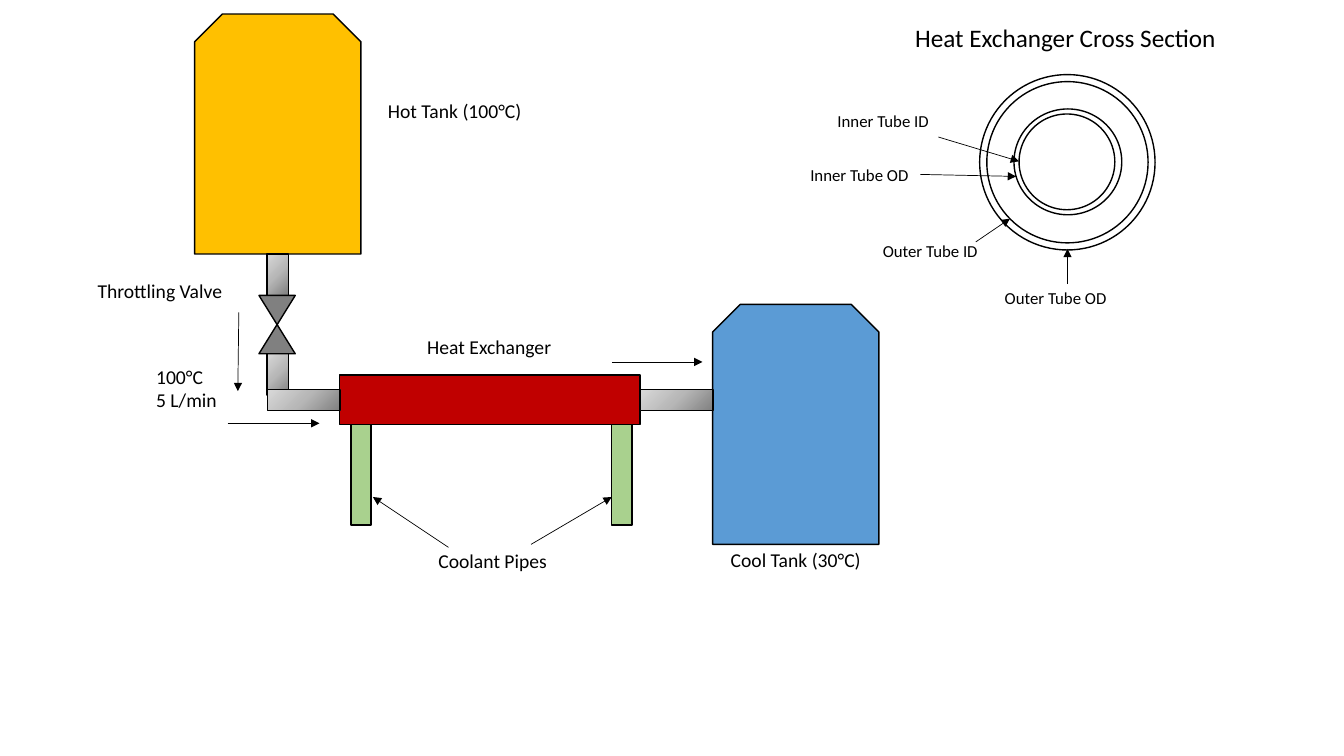
import dataclasses

import lxml.etree
import pptx
import pptx.dml.color
import pptx.enum.shapes
import pptx.enum.text
import pptx.oxml
import pptx.oxml.ns
import pptx.util

Pt = pptx.util.Pt
Shape = pptx.enum.shapes.MSO_SHAPE


@dataclasses.dataclass(frozen=True)
class Theme:
    font: str = "Calibri"
    ink: str = "000000"
    hot: str = "FFC000"
    cool: str = "5B9BD5"
    exchanger: str = "C00000"
    valve: str = "808080"
    coolant: str = "A9D18E"
    pipe: tuple = ((0, "808080"), (50, "B7B7B7"), (100, "D9D9D9"))
    title: float = 18
    label: float = 14
    small: float = 12
    outline: float = 1
    arrow: float = 0.5


@dataclasses.dataclass
class Region:
    page: object
    left: float
    top: float


THEME = Theme()


def color(code):
    return pptx.dml.color.RGBColor.from_string(code)


def add_text(region, text, left, top, width, height=24.5, size=THEME.label):
    box = region.page.shapes.add_textbox(
        Pt(region.left + left), Pt(region.top + top), Pt(width), Pt(height))
    frame = box.text_frame
    frame.word_wrap = False
    frame.auto_size = pptx.enum.text.MSO_AUTO_SIZE.SHAPE_TO_FIT_TEXT
    for index, line in enumerate(text.split("\n")):
        para = frame.add_paragraph() if index else frame.paragraphs[0]
        span = para.add_run()
        span.text = line
        span.font.name = THEME.font
        span.font.size = Pt(size)
        span.font.color.rgb = color(THEME.ink)


def add_part(region, kind, left, top, width, height, fill=None, rotation=0):
    part = region.page.shapes.add_shape(
        kind, Pt(region.left + left), Pt(region.top + top), Pt(width), Pt(height))
    part.shadow.inherit = False
    part.rotation = rotation
    part.line.color.rgb = color(THEME.ink)
    part.line.width = Pt(THEME.outline)
    if fill:
        part.fill.solid()
        part.fill.fore_color.rgb = color(fill)
    else:
        part.fill.background()
    return part


def add_pipe(region, left, top, length, rotation=0):
    pipe = add_part(region, Shape.RECTANGLE, left, top, 15.1, length, rotation=rotation)
    stops = "".join(
        f'<a:gs pos="{place * 1000}"><a:srgbClr val="{code}"/></a:gs>'
        for place, code in THEME.pipe)
    gradient = pptx.oxml.parse_xml(
        f'<a:gradFill {pptx.oxml.ns.nsdecls("a")} rotWithShape="1">'
        f'<a:gsLst>{stops}</a:gsLst><a:path path="circle">'
        '<a:fillToRect l="100000" t="100000"/></a:path></a:gradFill>')
    properties = pipe._element.spPr
    properties.replace(properties.find(pptx.oxml.ns.qn("a:noFill")), gradient)


def add_arrow(region, start_x, start_y, end_x, end_y):
    arrow = region.page.shapes.add_connector(
        pptx.enum.shapes.MSO_CONNECTOR.STRAIGHT,
        Pt(region.left + start_x), Pt(region.top + start_y),
        Pt(region.left + end_x), Pt(region.top + end_y))
    arrow.line.color.rgb = color(THEME.ink)
    arrow.line.width = Pt(THEME.arrow)
    qn = pptx.oxml.ns.qn
    lxml.etree.SubElement(arrow.line._get_or_add_ln(), qn("a:tailEnd"), type="triangle")
    lxml.etree.SubElement(arrow._element.spPr, qn("a:effectLst"))


def draw_process(region):
    for left, top, fill in ((79, 0, THEME.hot), (449, 207.4, THEME.cool)):
        add_part(region, Shape.SNIP_2_SAME_RECTANGLE, left, top, 118.8, 171.4, fill)
    add_part(region, Shape.RECTANGLE, 182.6, 257.8, 214.6, 35.3, THEME.exchanger)
    for top in (242.7, 171.4):
        add_pipe(region, 130.8, top, 29.5)
    for top, rotation in ((221.8, 0), (201, 180)):
        add_part(region, Shape.ISOSCELES_TRIANGLE, 125, top, 25.9, 20.9,
                 THEME.valve, rotation)
    for left in (149.5, 415.9):
        add_pipe(region, left, 249.9, 51.8, rotation=270)
    for left in (377, 190.6):
        add_part(region, Shape.RECTANGLE, left, 293.1, 14.4, 72, THEME.coolant)

    for text, left, top, width in (
        ("Throttling Valve", 2.6, 185.8, 105.1),
        ("Heat Exchanger", 238.1, 225.4, 104.4),
        ("Coolant Pipes", 246, 378.8, 92.9),
        ("Hot Tank (100°C)", 210, 57, 110.9),
        ("Cool Tank (30°C)", 454.8, 378.1, 108.7),
    ):
        add_text(region, text, left, top, width)
    add_text(region, "100°C\n5 L/min", 44.4, 247, 58.3, height=41)

    for ends in (
        (319.4, 378.8, 377, 345),
        (260.4, 381, 206.4, 345),
        (110.6, 213.2, 109.9, 269.4),
        (102.7, 292.4, 168.2, 292.4),
        (377, 248.5, 441.8, 248.5),
    ):
        add_arrow(region, *ends)


def draw_cross_section(region):
    add_text(region, "Heat Exchanger Cross Section", 76.6, 2.2, 231.8,
             height=28.8, size=THEME.title)
    for left, top, width, height in (
        (129.8, 43.3, 125.3, 125.3),
        (154.3, 67.8, 77, 75.6),
        (157.9, 71.4, 68.4, 68.4),
        (134.9, 48.3, 115.2, 115.2),
    ):
        add_part(region, Shape.OVAL, left, top, width, height)

    for text, left, top, width, ends in (
        ("Outer Tube OD", 140.6, 192.3, 87.8, (192.5, 193, 192.5, 167.8)),
        ("Outer Tube ID", 53.5, 158.5, 82.8, (127, 162.8, 151.4, 146.2)),
        ("Inner Tube ID", 21.1, 65.6, 80.6, (100.3, 87.9, 157.9, 105.2)),
        ("Inner Tube OD", 1.7, 103.8, 85.7, (87.4, 114.6, 155.8, 116)),
    ):
        add_text(region, text, left, top, width, height=21.6, size=THEME.small)
        add_arrow(region, *ends)


def main():
    deck = pptx.Presentation()
    deck.slide_width, deck.slide_height = Pt(960), Pt(540)
    page = deck.slides.add_slide(deck.slide_layouts[6])
    draw_process(Region(page, 60, 10))
    draw_cross_section(Region(page, 570, 10))
    deck.save("out.pptx")


if __name__ == "__main__":
    main()
